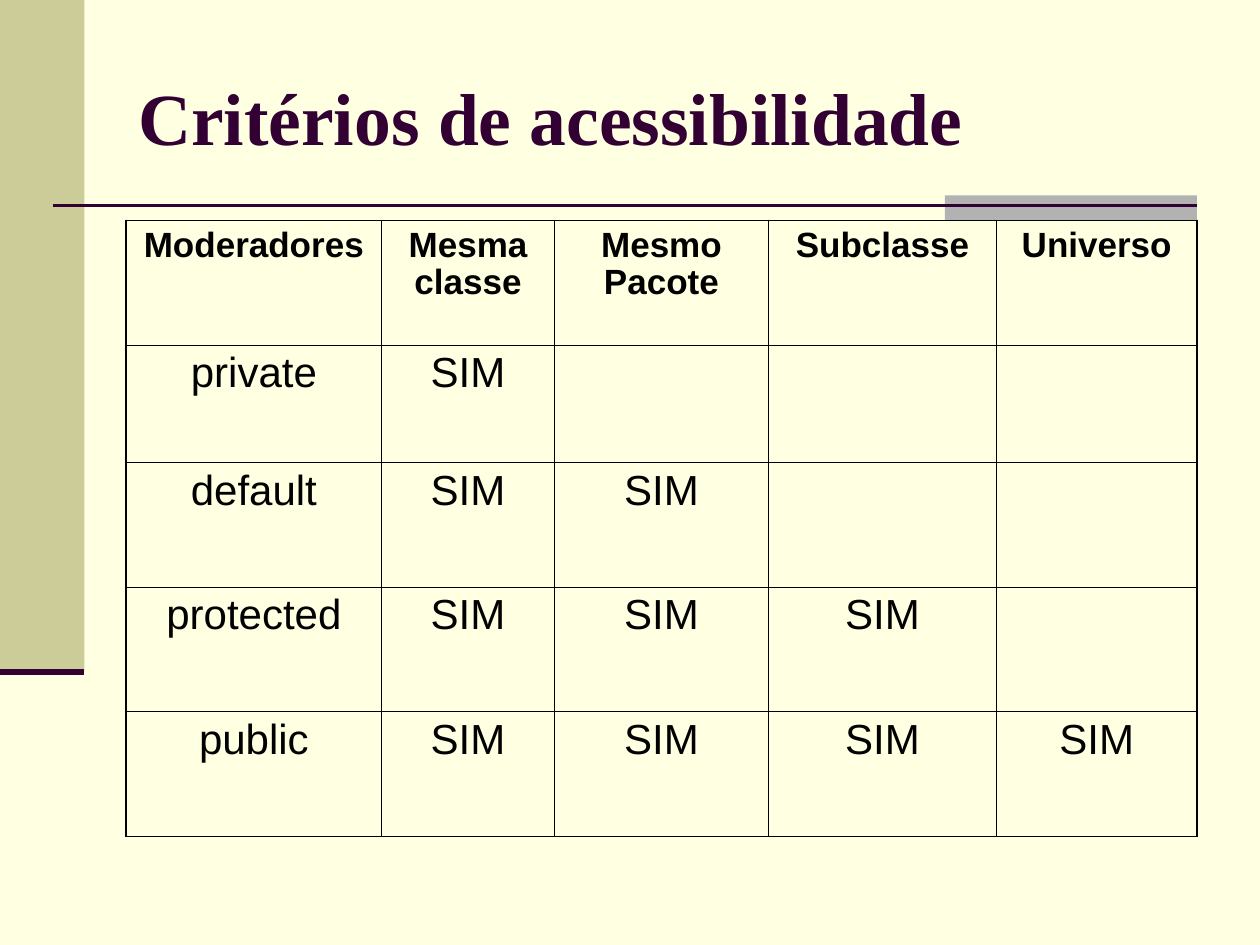
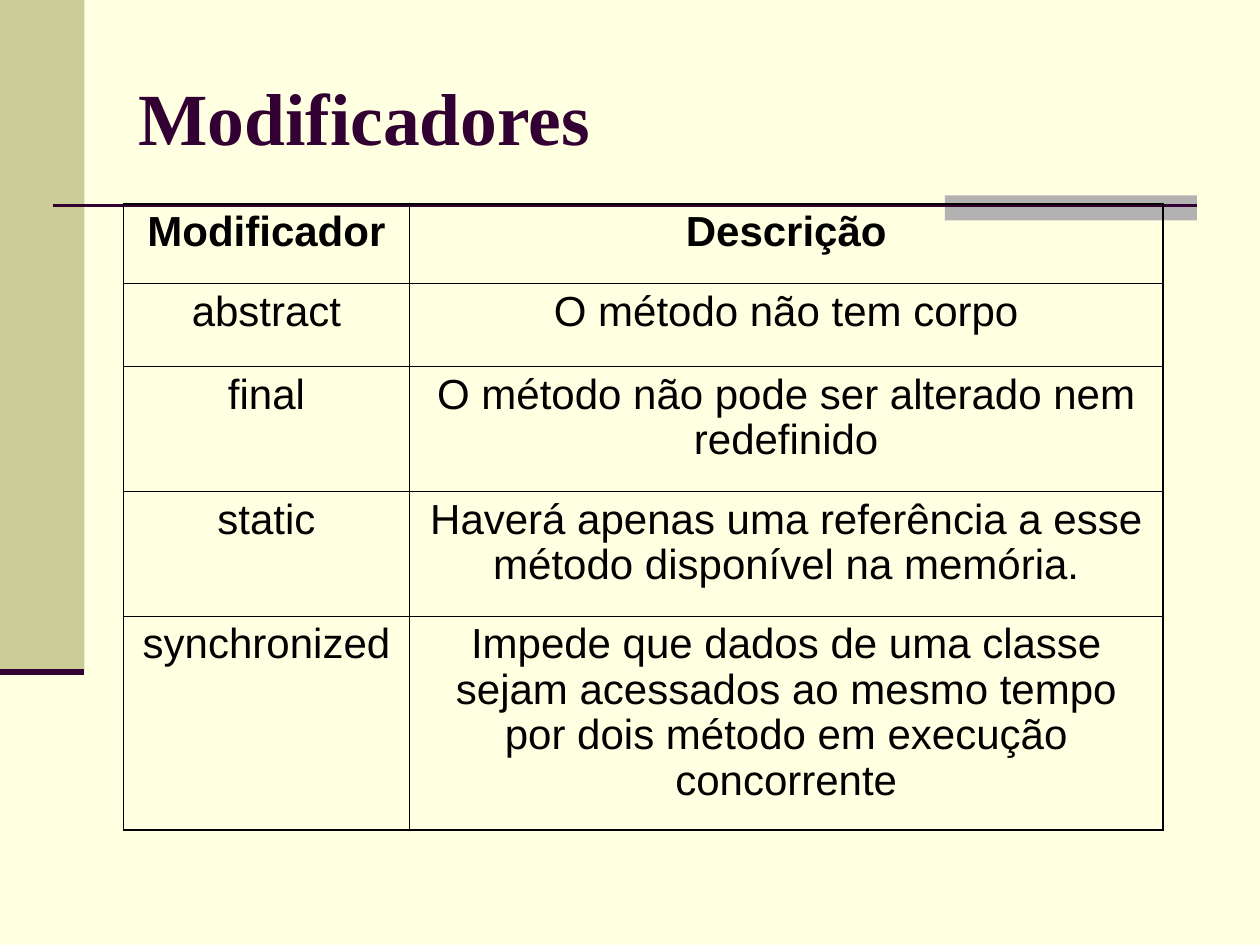
import pptx
import pptx.dml.color
import pptx.enum.shapes
import pptx.enum.text
import pptx.oxml
import pptx.oxml.ns
import pptx.util
from pptx.dml.color import RGBColor
from pptx.util import Inches

CREAM = RGBColor(0xFF, 0xFF, 0xE1)
OLIVE = RGBColor(0xCC, 0xCC, 0x99)
GRAY = RGBColor(0xB2, 0xB2, 0xB2)
PLUM = RGBColor(0x33, 0x00, 0x33)
BLACK = RGBColor(0x00, 0x00, 0x00)

OUTER_BORDER = 1.08
INNER_BORDER = 0.45

TITLE_FONT = {"name": "Times New Roman", "size": pptx.util.Pt(42), "bold": True}
CELL_FONT = {"name": "Arial", "size": pptx.util.Pt(24), "bold": False}
CELL_PARAGRAPH = {"alignment": pptx.enum.text.PP_ALIGN.CENTER, "line_spacing": 0.97}


def set_attributes(target, values):
    for name, value in values.items():
        setattr(target, name, value)


class LectureDeck:
    """Holds the shared style and the slide being drawn."""

    def __init__(self):
        self.deck = pptx.Presentation()
        self.deck.slide_width = Inches(10)
        self.deck.slide_height = Inches(7.5)
        self.slide = None

    def add_slide(self, title):
        self.slide = self.deck.slides.add_slide(self.deck.slide_layouts[6])
        background = self.slide.background.fill
        background.solid()
        background.fore_color.rgb = CREAM
        self.add_band(0, 0, 0.67, 5.33, OLIVE)
        self.add_band(7.5, 1.55, 2, 0.2, GRAY)
        self.add_rule(0.42, 9.5, 1.63, 1.5)
        self.add_rule(0, 0.67, 5.33, 3.5)
        self.add_title(title)

    def add_band(self, left, top, width, height, color):
        band = self.slide.shapes.add_shape(
            pptx.enum.shapes.MSO_SHAPE.RECTANGLE,
            Inches(left), Inches(top), Inches(width), Inches(height))
        band.shadow.inherit = False
        band.fill.solid()
        band.fill.fore_color.rgb = color
        band.line.fill.background()

    def add_rule(self, left, right, top, weight):
        rule = self.slide.shapes.add_connector(
            pptx.enum.shapes.MSO_CONNECTOR.STRAIGHT,
            Inches(left), Inches(top), Inches(right), Inches(top))
        rule.line.color.rgb = PLUM
        rule.line.width = pptx.util.Pt(weight)
        properties = rule._element.spPr
        properties.append(pptx.oxml.parse_xml(
            f"<a:effectLst {pptx.oxml.ns.nsdecls('a')}/>"))

    def add_title(self, text):
        box = self.slide.shapes.add_textbox(
            Inches(1), Inches(0.3), Inches(8.5), Inches(1.25))
        set_attributes(box.text_frame, {
            "word_wrap": True,
            "vertical_anchor": pptx.enum.text.MSO_ANCHOR.MIDDLE})
        self.add_text(box.text_frame, text, TITLE_FONT, PLUM)

    def add_text(self, frame, text, font, color):
        para = frame.paragraphs[0]
        span = para.add_run()
        span.text = text
        set_attributes(span.font, font)
        span.font.color.rgb = color
        return para

    def add_table(self, left, top, widths, heights, rows, header_size):
        """Draw a grid with a heavier outline and a bold first row."""
        table = self.slide.shapes.add_table(
            len(heights), len(widths), Inches(left), Inches(top),
            Inches(sum(widths)), Inches(sum(heights))).table
        set_attributes(table, {"first_row": False, "horz_banding": False})
        for column, width in zip(table.columns, widths):
            column.width = Inches(width)
        for row, height in zip(table.rows, heights):
            row.height = Inches(height)

        header_font = {**CELL_FONT, "size": pptx.util.Pt(header_size), "bold": True}
        last_row, last_column = len(heights) - 1, len(widths) - 1
        for row_index, texts in enumerate(rows):
            for column_index in range(len(widths)):
                cell = table.cell(row_index, column_index)
                self.add_borders(cell, {
                    "L": column_index == 0,
                    "R": column_index == last_column,
                    "T": row_index == 0,
                    "B": row_index == last_row})
                cell.fill.background()
                if column_index < len(texts):
                    font = CELL_FONT if row_index else header_font
                    para = self.add_text(
                        cell.text_frame, texts[column_index], font, BLACK)
                    set_attributes(para, CELL_PARAGRAPH)

    def add_borders(self, cell, outer_sides):
        """Outline a cell; outer_sides tells which sides lie on the table edge."""
        properties = cell._tc.get_or_add_tcPr()
        for side, is_outer in outer_sides.items():
            weight = pptx.util.Pt(OUTER_BORDER if is_outer else INNER_BORDER)
            properties.append(pptx.oxml.parse_xml(
                f"<a:ln{side} {pptx.oxml.ns.nsdecls('a')} w='{weight}'>"
                f"<a:solidFill><a:srgbClr val='{BLACK}'/></a:solidFill>"
                f"</a:ln{side}>"))


def main():
    lecture = LectureDeck()

    lecture.add_slide("Critérios de acessibilidade")
    access_levels = ["private", "default", "protected", "public"]
    access_rows = [["Moderadores", "Mesma classe", "Mesmo Pacote",
                    "Subclasse", "Universo"]]
    for reach, level in enumerate(access_levels, start=1):
        access_rows.append([level] + ["SIM"] * reach)
    lecture.add_table(
        1, 1.75, [2.03, 1.37, 1.7, 1.81, 1.59],
        [0.99, 0.93, 0.99, 0.99, 0.99], access_rows, header_size=20)

    lecture.add_slide("Modificadores")
    modifier_rows = [
        ["Modificador", "Descrição"],
        ["abstract", "O método não tem corpo"],
        ["final", "O método não pode ser alterado nem redefinido"],
        ["static", "Haverá apenas uma referência a esse método "
                   "disponível na memória."],
        ["synchronized", "Impede que dados de uma classe sejam acessados ao "
                         "mesmo tempo por dois método em execução concorrente"],
    ]
    lecture.add_table(
        0.98, 1.62, [2.27, 5.98], [0.63, 0.66, 0.99, 0.99, 1.7],
        modifier_rows, header_size=24)

    lecture.deck.save("out.pptx")


if __name__ == "__main__":
    main()
